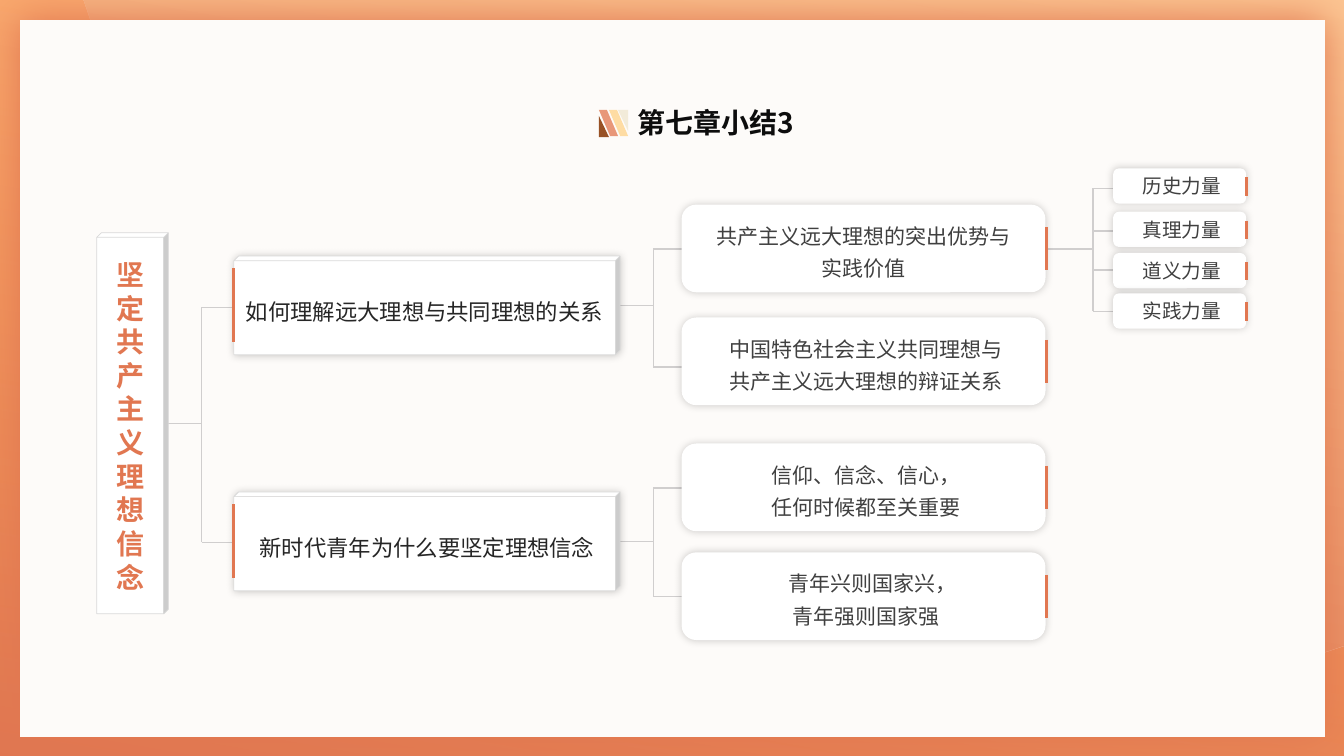
from lxml import etree
from pptx import Presentation
from pptx.dml.color import RGBColor
from pptx.enum.shapes import MSO_CONNECTOR, MSO_SHAPE
from pptx.enum.text import MSO_ANCHOR, PP_ALIGN
from pptx.oxml import parse_xml
from pptx.oxml.ns import qn
from pptx.util import Inches, Pt

RECT, CUBE = MSO_SHAPE.RECTANGLE, MSO_SHAPE.CUBE
ROUND, SLANT = MSO_SHAPE.ROUNDED_RECTANGLE, MSO_SHAPE.PARALLELOGRAM
WEDGE, STRAIGHT = MSO_SHAPE.RIGHT_TRIANGLE, MSO_CONNECTOR.STRAIGHT
CENTER, LEFT, MIDDLE, TOP = PP_ALIGN.CENTER, PP_ALIGN.LEFT, MSO_ANCHOR.MIDDLE, MSO_ANCHOR.TOP

# The slide is a grid of square cells, 1333 columns by 750 rows
COLS, ROWS = 1333, 750
CELL = Inches(0.01)
FACE = "Noto Sans CJK SC"
NS = 'xmlns:a="http://schemas.openxmlformats.org/drawingml/2006/main"'
ORANGE, WHITE, GREY, EDGE = "E17751", "FFFFFF", "D0CECE", "D9D9D9"
SOFT = ("000000", 20, 6, 315)

HEAD = {"size": Pt(20), "bold": True, "color": "0D0D0D"}
ROOT = {"size": Pt(20), "bold": True, "color": ORANGE}
TOPIC = {"size": Pt(16), "color": "262626"}
CARD = {"size": Pt(15), "color": "404040"}
LEAF = {"size": Pt(14), "color": "404040"}

prs = Presentation()
prs.slide_width, prs.slide_height = CELL * COLS, CELL * ROWS
slide = prs.slides.add_slide(prs.slide_layouts[6])
shapes = slide.shapes


def grid(*cells):
    return [round(cell * CELL) for cell in cells]


def rgb(code):
    return RGBColor.from_string(code)


def shade(shape, color, alpha, blur, angle):
    effects = shape._element.spPr.find(qn("a:effectLst"))
    effects.append(parse_xml(
        f'<a:outerShdw {NS} blurRad="{Pt(blur)}" dist="0" dir="{angle * 60000}" '
        f'algn="ctr" rotWithShape="0"><a:srgbClr val="{color}">'
        f'<a:alpha val="{alpha * 1000}"/></a:srgbClr></a:outerShdw>'))


def blend(shape, start, end):
    """Fill from a solid start to a half-clear end."""
    shape.fill.gradient()
    old = shape._element.spPr.find(qn("a:gradFill"))
    new = parse_xml(
        f'<a:gradFill {NS} rotWithShape="1"><a:gsLst>'
        f'<a:gs pos="0"><a:srgbClr val="{start}"/></a:gs>'
        f'<a:gs pos="100000"><a:srgbClr val="{end}"><a:alpha val="50000"/></a:srgbClr></a:gs>'
        f'</a:gsLst><a:lin ang="{280 * 60000}" scaled="0"/></a:gradFill>')
    old.getparent().replace(old, new)


def block(kind, box, fill=WHITE, edge=None, adj=None, shadow=None, flip=""):
    shape = shapes.add_shape(kind, *grid(*box))
    shape.shadow.inherit = False
    shape.fill.solid()
    shape.fill.fore_color.rgb = rgb(fill)
    if edge:
        shape.line.color.rgb = rgb(edge)
        shape.line.width = Pt(0.5)
    else:
        shape.line.fill.background()
    if adj is not None:
        shape.adjustments[0] = adj
    if shadow:
        shade(shape, *shadow)
    for axis in flip:
        shape._element.spPr.xfrm.set("flip" + axis, "1")
    return shape


def rule(x1, y1, x2, y2, color=GREY, width=1):
    line = shapes.add_connector(STRAIGHT, *grid(x1, y1, x2, y2))
    line.line.color.rgb = rgb(color)
    line.line.width = Pt(width)
    etree.SubElement(line._element.spPr, qn("a:effectLst"))


def write(shape, lines, style, align=CENTER, anchor=MIDDLE, space=None, indents=()):
    frame = shape.text_frame
    frame.word_wrap, frame.vertical_anchor = True, anchor
    for i, words in enumerate(lines):
        para = frame.paragraphs[0] if i == 0 else frame.add_paragraph()
        para.alignment = align
        if space:
            para.line_spacing = space
        if indents:
            para._p.get_or_add_pPr().set("marL", str(grid(indents[i])[0]))
        run = para.add_run()
        run.text, run.font.name = words, FACE
        for key, value in style.items():
            if key == "color":
                run.font.color.rgb = rgb(value)
            else:
                setattr(run.font, key, value)
        etree.SubElement(run.font._element, qn("a:ea")).set("typeface", FACE)


def curve(a, b, c, d, steps=24):
    for i in range(1, steps + 1):
        t = i / steps
        u = 1 - t
        yield tuple(u**3 * p + 3 * u * u * t * q + 3 * u * t * t * r + t**3 * s
                    for p, q, r, s in zip(a, b, c, d))


def frame(x, y, w, h):
    """Orange border with a large arc, and the paper inside it."""
    blend(block(RECT, (x, y, w, h)), ORANGE, "FD7201")
    low, base, tip = (1315, 646), (1022, 690), (98, 44)
    points = [(1333, 0), (1333, 640), low,
              *curve(low, (1222, 675), (1124, 690), base),
              *curve(base, (597, 690), (236, 421), tip)]
    pen = shapes.build_freeform(*grid(x + 83, y), scale=1)
    pen.add_line_segments([grid(x + px, y + py) for px, py in points])
    arc = pen.convert_to_shape()
    arc.shadow.inherit = False
    arc.line.fill.background()
    blend(arc, ORANGE, "FDD5A6")
    block(RECT, (x + 20, y + 20, w - 39, h - 39), "FDFBF9", shadow=(ORANGE, 100, 30, 0))


def title(x, y, words):
    """Striped mark and heading."""
    box = shapes.add_textbox(*grid(x + 28, y, 248, 44))
    write(box, [words], HEAD, LEFT, TOP)
    block(SLANT, (x + 10, y + 9, 19, 26), "FEDCA3", adj=0.585, flip="H")
    block(WEDGE, (x + 19, y + 9, 10, 21), "F2EBD9", flip="HV")
    block(SLANT, (x, y + 9, 19, 26), "E89779", adj=0.585, flip="H")
    block(WEDGE, (x, y + 15, 10, 21), "985125")


def bracket(start, trunk, end, mid, stops):
    """One stem that splits at the trunk."""
    rule(start, mid, trunk, mid)
    rule(trunk, stops[0], trunk, stops[-1])
    for stop in stops:
        rule(trunk, stop, end, stop)


def root(x, y, words):
    block_ = block(CUBE, (x, y, 71, 378), edge=EDGE, adj=0.063)
    write(block_, [words], ROOT)


def topic(x, y, words, indent):
    box = block(CUBE, (x, y, 383, 98), edge=EDGE, adj=0.048, shadow=SOFT)
    write(box, [words], TOPIC, space=1.3, indents=[indent])
    rule(x, y + 12, x, y + 85, ORANGE, 2)


def card(x, y, lines, indents):
    box = block(ROUND, (x, y, 361, 87), shadow=SOFT)
    write(box, lines, CARD, space=1.3, indents=indents)
    rule(x + 362, y + 22, x + 362, y + 65, ORANGE, 2)


def leaf(x, y, words):
    box = block(ROUND, (x, y, 132, 35), shadow=SOFT)
    write(box, [words], LEAF, indents=[4])
    rule(x + 132, y + 9, x + 132, y + 27, ORANGE, 2)


def tree():
    # Links lie behind the boxes
    for link in [(591, 648, 679, 303, (247, 364)),
                 (591, 648, 679, 537, (484, 592)),
                 (1023, 1084, 1104, 247, (187, 229, 268, 309)),
                 (157, 200, 232, 420, (305, 538))]:
        bracket(*link)
    # Second level
    topic(232, 254, "如何理解远大理想与共同理想的关系", 0)
    topic(232, 488, "新时代青年为什么要坚定理想信念", 5)
    # Third level
    for y, lines, indents in [
            (203, ("共产主义远大理想的突出优势与", "实践价值"), (0, 0)),
            (315, ("中国特色社会主义共同理想与", "共产主义远大理想的辩证关系"), (4, 4)),
            (440, ("信仰、信念、信心，", "任何时候都至关重要"), (4, 4)),
            (548, ("青年兴则国家兴，", "青年强则国家强"), (18, 4))]:
        card(676, y, lines, indents)
    # Fourth level
    for y, words in zip((167, 210, 251, 291), ("历史力量", "真理力量", "道义力量", "实践力量")):
        leaf(1104, y, words)
    root(96, 231, "坚定共产主义理想信念")


frame(0, 0, COLS, ROWS)
title(594, 100, "第七章小结3")
tree()
prs.save("out.pptx")
